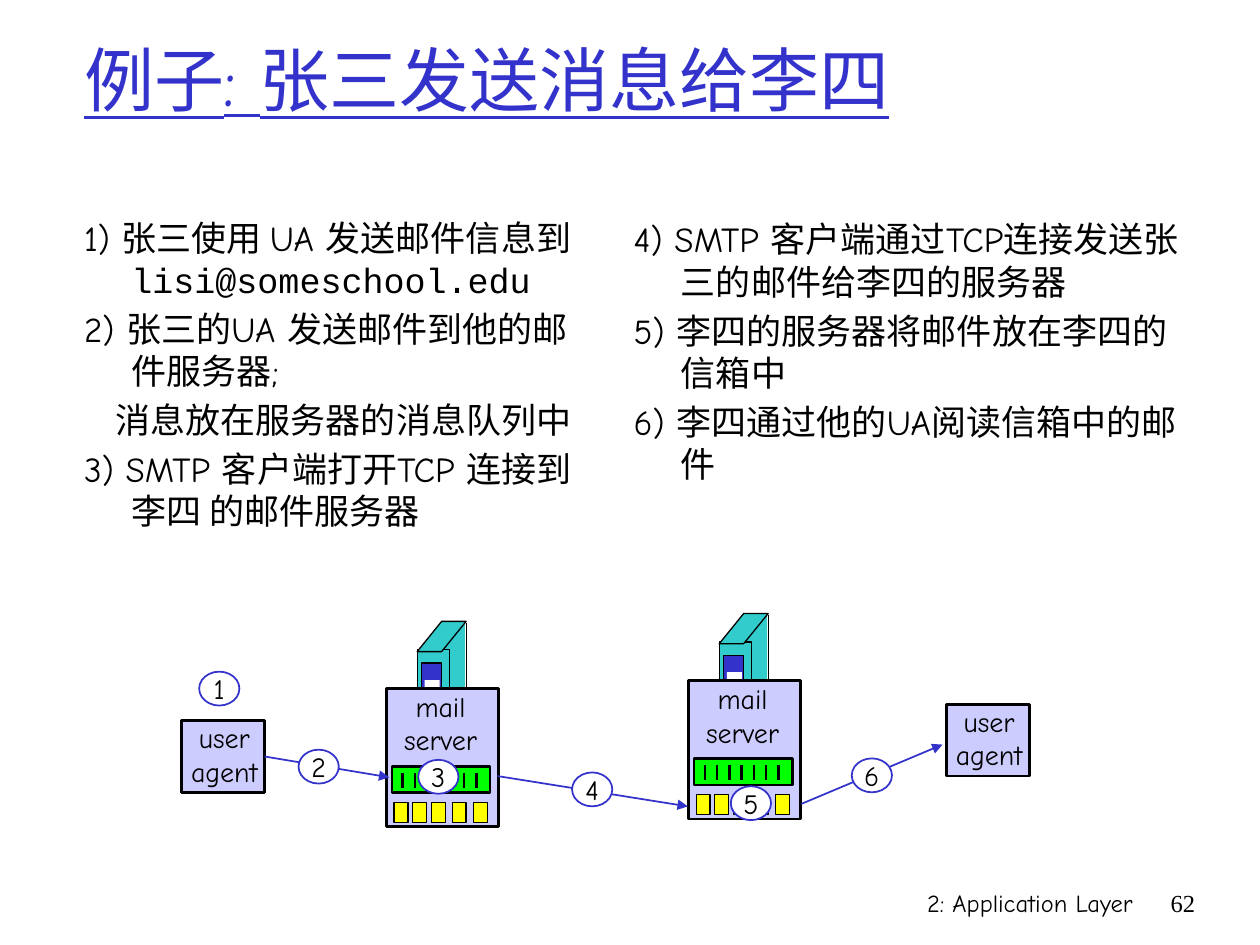
"""Build the slide that follows a mail message from Zhang San to Li Si."""
import pptx
import pptx.util
import pptx.dml.color
import pptx.enum.shapes
import pptx.enum.text
import pptx.oxml.ns
import lxml.etree

Pt = pptx.util.Pt
color = pptx.dml.color.RGBColor.from_string
KIND = pptx.enum.shapes.MSO_SHAPE
ALIGN = pptx.enum.text.PP_ALIGN
ANCHOR = pptx.enum.text.MSO_ANCHOR
FONT = "Comic Neue"
BLUE, LILAC, TEAL, BLACK, WHITE = "3333CC", "CCCCFF", "33CCCC", "000000", "FFFFFF"

deck = pptx.Presentation()
deck.slide_width, deck.slide_height = Pt(720), Pt(540)
page = deck.slides.add_slide(deck.slide_layouts[6])


def add_box(kind, place, fill=None, line=None, weight=0.75, lines=(), size=16,
            align=ALIGN.CENTER, ink=BLACK, font=FONT, wrap=False, anchor=ANCHOR.TOP):
    place = [Pt(length) for length in place]
    if kind is None:
        box = page.shapes.add_textbox(*place)
    else:
        box = page.shapes.add_shape(kind, *place)
        box.shadow.inherit = False
        box.fill.solid()
        box.fill.fore_color.rgb = color(fill)
        if line:
            box.line.color.rgb = color(line)
            box.line.width = Pt(weight)
        else:
            box.line.fill.background()
    frame = box.text_frame
    frame.word_wrap = wrap
    frame.vertical_anchor = anchor
    for index, words in enumerate(lines):
        para = frame.add_paragraph() if index else frame.paragraphs[0]
        para.add_run().text = words
        para.alignment = align
        para.font.size, para.font.name = Pt(size), font
        para.font.color.rgb = color(ink)
    return box


def add_line(start, end, ink=BLACK, weight=0.75, arrow=False):
    link = page.shapes.add_connector(
        pptx.enum.shapes.MSO_CONNECTOR.STRAIGHT, *[Pt(length) for length in start + end])
    link.line.color.rgb = color(ink)
    link.line.width = Pt(weight)
    if arrow:
        outline = link.line._get_or_add_ln()
        lxml.etree.SubElement(outline, pptx.oxml.ns.qn("a:tailEnd"), type="triangle")
    lxml.etree.SubElement(link._element.spPr, pptx.oxml.ns.qn("a:effectLst"))
    return link


add_box(None, (426, 504, 228.5, 36), lines=["2: Application Layer"], size=14,
        align=ALIGN.RIGHT, wrap=True)
add_box(None, (654, 504, 36, 36), lines=["62"], size=14, align=ALIGN.RIGHT,
        font="Times New Roman", wrap=True)
title = add_box(None, (41, 0, 649, 90), lines=["例子: 张三发送消息给李四"], size=40,
                align=ALIGN.LEFT, ink=BLUE, wrap=True, anchor=ANCHOR.MIDDLE)
title.text_frame.paragraphs[0].font.underline = True

queue_note = "消息放在服务器的消息队列中"
columns = [
    ((41, 120.2, 300.2, 211.7),
     ["1) 张三使用 UA 发送邮件信息到 ", "2) 张三的UA 发送邮件到他的邮件服务器;",
      queue_note, "3) SMTP 客户端打开TCP 连接到李四 的邮件服务器"]),
    ((355, 121, 334.8, 198),
     ["4) SMTP 客户端通过TCP连接发送张三的邮件给李四的服务器",
      "5) 李四的服务器将邮件放在李四的信箱中", "6) 李四通过他的UA阅读信箱中的邮件"]),
]
steps = []
for place, lines in columns:
    column = add_box(None, place, lines=lines, size=20, align=ALIGN.LEFT, wrap=True)
    for index, para in enumerate(column.text_frame.paragraphs):
        margin, indent = (18, 0) if para.text == queue_note else (27, -27)
        para._p.get_or_add_pPr().set("marL", str(Pt(margin)))
        para._p.get_or_add_pPr().set("indent", str(Pt(indent)))
        if index:
            para.space_before = Pt(4)
        steps.append(para)
address = steps[0].add_run()
address.text = "lisi@someschool.edu"
address.font.name = "Courier New"

agents = []
for left, top in [(103.7, 411.8), (540.7, 402.5)]:
    agents.append(add_box(KIND.RECTANGLE, (left, top, 47.5, 41), LILAC, BLACK, 1.5))
    add_box(None, (left - 3.6, top - 3.6, 56.2, 46), lines=["user", "agent"])

for left, top in [(221, 393.3), (393.6, 388.8)]:
    add_box(KIND.RECTANGLE, (left + 31.7, top - 38.2, 13, 56.2), TEAL)
    add_box(KIND.RECTANGLE, (left + 17.7, top - 22, 18, 56.2), TEAL, BLACK)
    roof = add_box(KIND.PARALLELOGRAM, (left + 17.4, top - 38.2, 28, 17.3), TEAL, BLACK)
    roof.adjustments[0] = 0.81
    add_line((left + 45.4, top - 37.4), (left + 45.4, top + 18))
    add_box(KIND.RECTANGLE, (left + 20, top - 14.4, 11.5, 32.4), BLUE, BLACK)
    add_box(KIND.RECTANGLE, (left + 21.7, top - 4.7, 8.6, 11.5), WHITE)
    add_box(KIND.RECTANGLE, (left, top, 64, 79.2), LILAC, BLACK, 1.5)
    add_box(None, (left - 1, top - 2.9, 63.4, 46), lines=["mail", "server"])
    add_box(KIND.RECTANGLE, (left + 2.9, top + 44.6, 56.2, 15.1), "00FF00", BLACK, 1.5)
    for tick in range(7):
        across = left + 9.2 + 7 * tick
        add_line((across, top + 48.2), (across, top + 56.9), weight=1.5)
    for across in (4.2, 14.8, 25.6, 37.4, 49.6):
        add_box(KIND.RECTANGLE, (left + across, top + 65.2, 7.9, 11.5), "FFFF00", BLACK)

arrows = [add_line(start, end, BLUE, 1, True) for start, end in [
    ((151.2, 432.3), (222.5, 444.2)),
    ((284.4, 443.5), (393.1, 460.8)),
    ((457.9, 459.4), (538.6, 425.5)),
]]
arrows[0].begin_connect(agents[0], 3)

badges = [(113.8, 383.8), (170.6, 428.4), (239, 434.2),
          (326.9, 441.4), (417.6, 449.3), (486.7, 433.4)]
for number, (left, top) in enumerate(badges, 1):
    add_box(KIND.OVAL, (left, top, 23, 19.4), WHITE, BLUE, 1, [str(number)],
            anchor=ANCHOR.MIDDLE)

deck.save("out.pptx")
